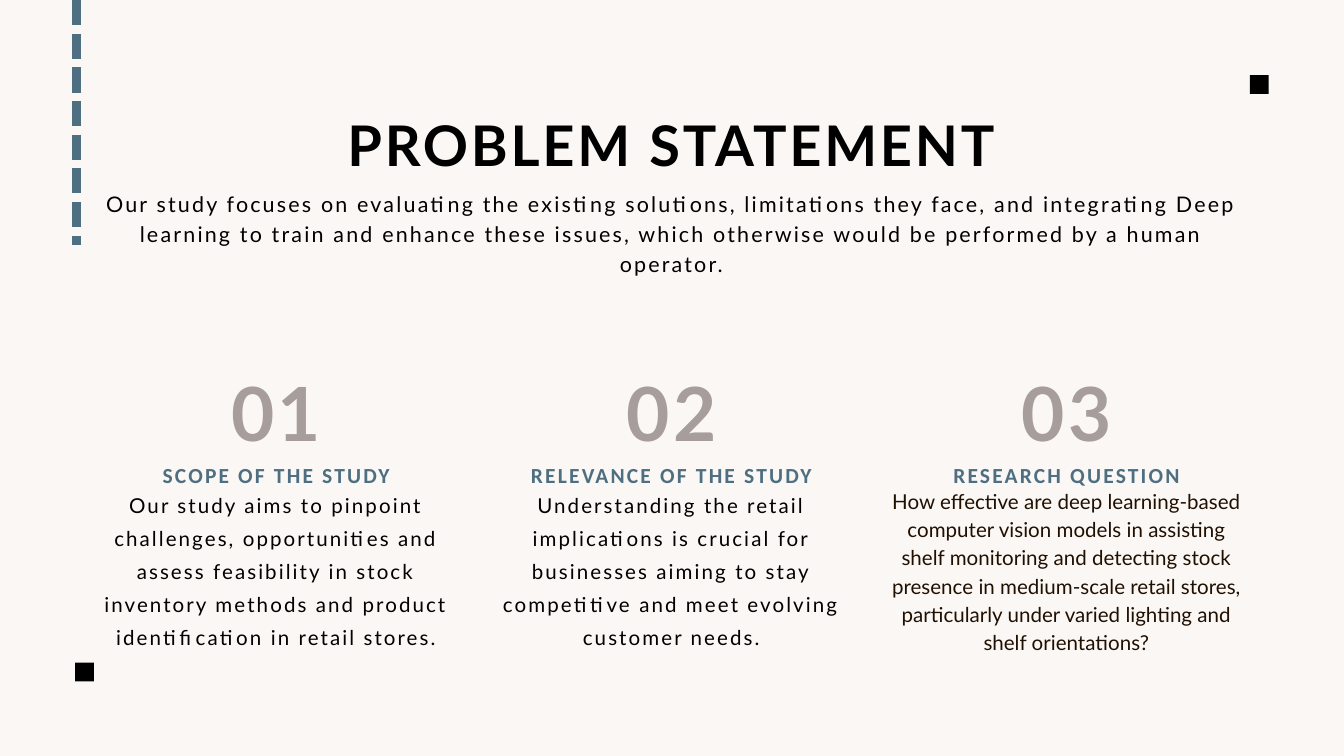
"""Build the problem statement slide."""
from dataclasses import dataclass
from typing import Optional, Union

from lxml.etree import SubElement as SubElem
from pptx import Presentation as Deck
from pptx.dml.color import RGBColor as Color
from pptx.enum.dml import MSO_LINE_DASH_STYLE as Dash
from pptx.enum.shapes import MSO_CONNECTOR_TYPE as Link
from pptx.enum.shapes import MSO_SHAPE as Kind
from pptx.enum.text import MSO_AUTO_SIZE as Fit
from pptx.enum.text import PP_ALIGN as Align
from pptx.oxml.ns import qn
from pptx.slide import Slide
from pptx.util import Inches, Pt


@dataclass(frozen=True)
class Theme:
    back: str = "FBF7F4"
    ink: str = "000000"
    blue: str = "4E6E81"
    gray: str = "A79E9C"
    brown: str = "201002"
    face: str = "Lato"
    label: str = "Calibri"
    title: float = 30
    count: float = 40
    lead: float = 11.5
    body: float = 11


@dataclass(frozen=True)
class Box:
    left: float
    top: float
    width: float
    height: float


@dataclass(frozen=True)
class Item:
    head: str
    body: str
    color: str
    height: float = 1.23
    pitch: Union[Pt, float] = Pt(17.6)
    track: float = 1.1
    after: Optional[Pt] = None


THEME = Theme()
PAGE = 10
LEFT, WIDE, COL, STEP = 0.75, 8.49, 2.61, 2.94
SIDE = 0.14

ITEMS = [
    Item("SCOPE OF THE STUDY",
         "Our study aims to pinpoint challenges, opportunities and assess "
         "feasibility in stock inventory methods and product identification "
         "in retail stores.", THEME.ink),
    Item("RELEVANCE OF THE STUDY",
         "Understanding the retail implications is crucial for businesses "
         "aiming to stay competitive and meet evolving customer needs.",
         THEME.ink),
    Item("RESEARCH QUESTION",
         "How effective are deep learning-based computer vision models in "
         "assisting shelf monitoring and detecting stock presence in "
         "medium-scale retail stores, particularly under varied lighting and "
         "shelf orientations?", THEME.brown,
         height=1.27, pitch=1.15, track=0, after=Pt(8)),
]


def write(slide: Slide, text: str, box: Box, *, size: float,
          pitch: Union[Pt, float], color: str = THEME.ink,
          face: str = THEME.face, bold: bool = False, track: float = 0,
          after: Optional[Pt] = None) -> None:
    shape = slide.shapes.add_textbox(Inches(box.left), Inches(box.top),
                                     Inches(box.width), Inches(box.height))
    frame = shape.text_frame
    frame.word_wrap = True
    frame.auto_size = Fit.SHAPE_TO_FIT_TEXT
    frame.margin_left = frame.margin_right = 0
    frame.margin_top = frame.margin_bottom = 0
    para = frame.paragraphs[0]
    para.alignment = Align.CENTER
    para.line_spacing = pitch
    para.space_after = after
    run = para.add_run()
    run.text = text
    font = run.font
    font.name, font.size, font.bold = face, Pt(size), bold
    font.color.rgb = Color.from_string(color)
    if track:
        run._r.get_or_add_rPr().set("spc", str(round(track * 100)))


def square(slide: Slide, left: float, top: float) -> None:
    shape = slide.shapes.add_shape(Kind.RECTANGLE, Inches(left), Inches(top),
                                   Inches(SIDE), Inches(SIDE))
    shape.shadow.inherit = False
    shape.fill.solid()
    shape.fill.fore_color.rgb = Color.from_string(THEME.ink)
    shape.line.fill.background()


def stripe(slide: Slide, left: float, end: float) -> None:
    line = slide.shapes.add_connector(Link.STRAIGHT, Inches(left), Inches(0),
                                      Inches(left), Inches(end))
    line.line.color.rgb = Color.from_string(THEME.blue)
    line.line.width = Pt(4.5)
    line.line.dash_style = Dash.SQUARE_DOT
    line.line._ln.find(qn("a:prstDash")).set("val", "sysDash")
    SubElem(line._element.spPr, qn("a:effectLst"))


def column(slide: Slide, index: int, item: Item) -> None:
    left = LEFT + index * STEP
    write(slide, f"{index + 1:02d}", Box(left, 2.62, COL, 0.72),
          size=THEME.count, pitch=Pt(56), color=THEME.gray, bold=True, track=2)
    write(slide, item.head, Box(left, 3.41, COL, 0.2), size=THEME.lead,
          pitch=Pt(16.1), color=THEME.blue, face=THEME.label, bold=True,
          track=1.15)
    write(slide, item.body, Box(left, 3.61, COL, item.height),
          size=THEME.body, pitch=item.pitch, color=item.color,
          track=item.track, after=item.after)


def main() -> None:
    deck = Deck()
    deck.slide_width, deck.slide_height = Inches(PAGE), Inches(PAGE * 9 / 16)
    slide = deck.slides.add_slide(deck.slide_layouts[6])
    fill = slide.background.fill
    fill.solid()
    fill.fore_color.rgb = Color.from_string(THEME.back)

    write(slide, "PROBLEM STATEMENT", Box(LEFT, 0.74, WIDE, 0.54),
          size=THEME.title, pitch=Pt(42), bold=True, track=1.5)
    write(slide,
          "Our study focuses on evaluating the existing solutions, "
          "limitations they face, and integrating Deep learning to train and "
          "enhance these issues, which otherwise would be performed by a "
          "human operator.", Box(LEFT, 1.39, WIDE, 0.65),
          size=THEME.lead, pitch=Pt(16.1), track=1.15)
    for index, item in enumerate(ITEMS):
        column(slide, index, item)
    square(slide, 0.56, 4.93)
    square(slide, 9.3, 0.56)
    stripe(slide, 0.57, 1.82)
    deck.save("out.pptx")


if __name__ == "__main__":
    main()
